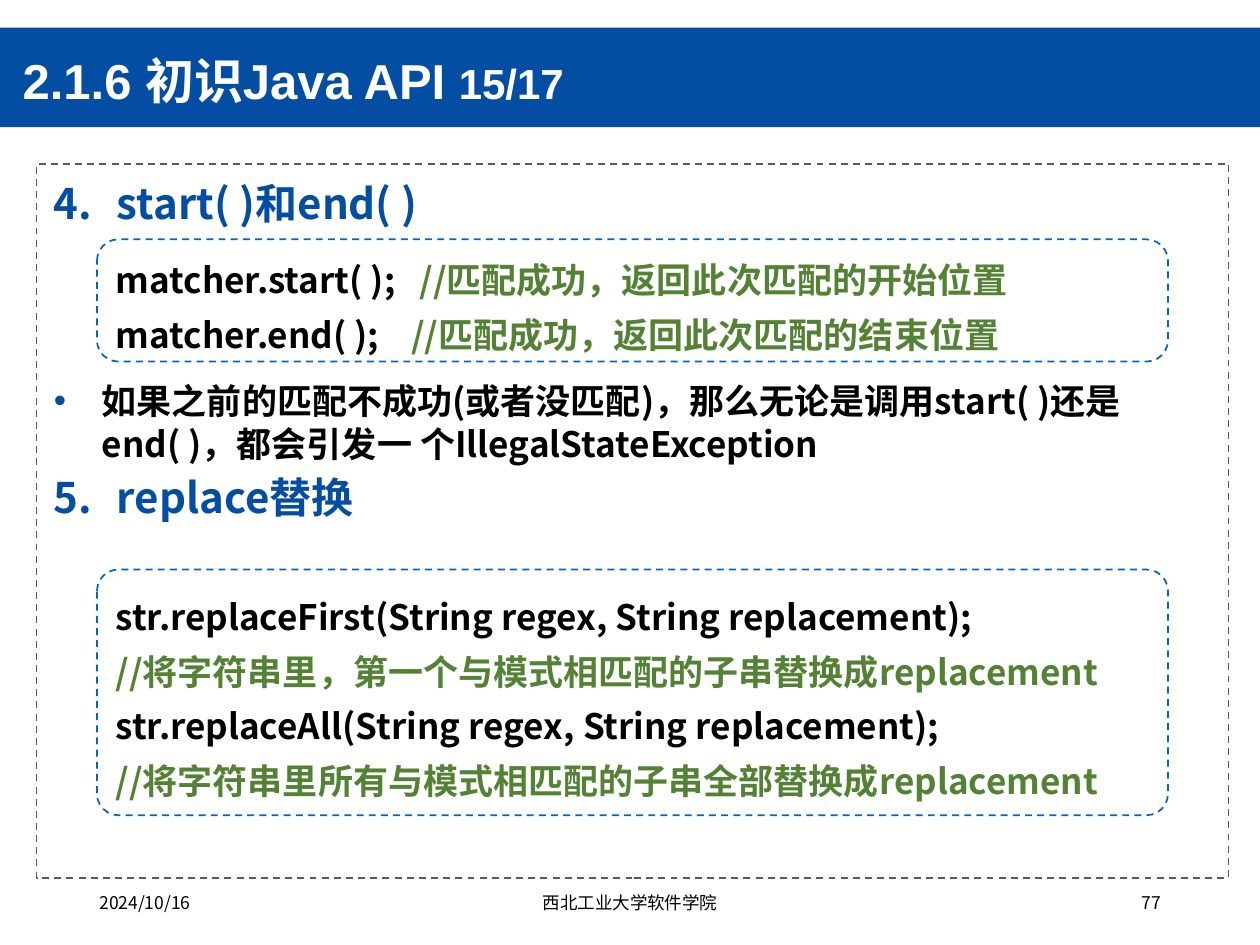
"""Builds the slide on start( ), end( ) and the replace methods of the Java API."""
from lxml import etree
from pptx import Presentation
from pptx.dml.color import RGBColor
from pptx.enum.dml import MSO_LINE
from pptx.enum.shapes import MSO_SHAPE
from pptx.enum.text import MSO_ANCHOR, PP_ALIGN
from pptx.oxml.ns import qn
from pptx.util import Inches, Pt

RECT, ROUNDED = MSO_SHAPE.RECTANGLE, MSO_SHAPE.ROUNDED_RECTANGLE
DASH = MSO_LINE.DASH
TOP, MIDDLE = MSO_ANCHOR.TOP, MSO_ANCHOR.MIDDLE
LEFT, CENTER, RIGHT = PP_ALIGN.LEFT, PP_ALIGN.CENTER, PP_ALIGN.RIGHT

COLORS = {"brand": "034EA2", "frame": "595959", "box": "0563C1",
          "code": "000000", "comment": "548235", "white": "FFFFFF"}
TITLE_FONT, BODY_FONT = "Arial", "Noto Sans CJK SC"
WIDTH, HEIGHT = 10, 7.5

TITLE = [("2.1.6 初识Java API ", 28), ("15/17", 24)]
BODY = [
    {"text": "start( )和end( )", "size": 24, "color": "brand", "number": 4,
     "indent": 0.5, "before": 0, "spacing": 1.05},
    {"text": "如果之前的匹配不成功(或者没匹配)，那么无论是调用start( )还是end( )，"
             "都会引发一 个IllegalStateException",
     "size": 20, "color": "code", "number": None,
     "indent": 0.38, "before": 86, "spacing": 1.03},
    {"text": "replace替换", "size": 24, "color": "brand", "number": 5,
     "indent": 0.5, "before": 4, "spacing": 1},
]
CODE_LEFT, CODE_WIDTH, CODE_RADIUS = 0.77, 8.5, 0.17
CODE_BOXES = [
    (1.9, 0.97, [
        [("matcher.start( );   ", "code"),
         ("//匹配成功，返回此次匹配的开始位置", "comment")],
        [("matcher.end( );    ", "code"),
         ("//匹配成功，返回此次匹配的结束位置", "comment")],
    ]),
    (4.52, 1.95, [
        [("str.replaceFirst(String regex, String replacement);", "code")],
        [("//将字符串里，第一个与模式相匹配的子串替换成replacement", "comment")],
        [("str.replaceAll(String regex, String replacement);", "code")],
        [("//将字符串里所有与模式相匹配的子串全部替换成replacement", "comment")],
    ]),
]
FOOTER_TOP, FOOTER_HEIGHT = 7.03, 0.4
FOOTER = [("2024/10/16", 0.69, 2.25, LEFT),
          ("西北工业大学软件学院", 3.31, 3.38, CENTER),
          ("77", 7.06, 2.25, RIGHT)]


def rgb(name):
    return RGBColor.from_string(COLORS[name])


def style(font, size, color, name=BODY_FONT, bold=True):
    font.size, font.bold, font.name = Pt(size), bold, name
    font.color.rgb = rgb(color)


def add_panel(slide, shape_type, box, fill=None, line=None):
    panel = slide.shapes.add_shape(shape_type, *map(Inches, box))
    panel.shadow.inherit = False
    if fill:
        panel.fill.solid()
        panel.fill.fore_color.rgb = rgb(fill)
    else:
        panel.fill.background()
    if line:
        panel.line.color.rgb = rgb(line)
        panel.line.width, panel.line.dash_style = Pt(1), DASH
    else:
        panel.line.fill.background()
    return panel


def add_text_frame(slide, box):
    frame = slide.shapes.add_textbox(*map(Inches, box)).text_frame
    frame.word_wrap, frame.vertical_anchor = True, TOP
    return frame


def paragraphs(frame, items):
    for index, item in enumerate(items):
        yield frame.add_paragraph() if index else frame.paragraphs[0], item


def add_marker(paragraph, indent, number):
    props = paragraph._p.get_or_add_pPr()
    props.set("marL", str(Inches(indent)))
    props.set("indent", str(-Inches(indent)))
    color = etree.SubElement(props, qn("a:buClr"))
    etree.SubElement(color, qn("a:srgbClr"), val=COLORS["brand"])
    etree.SubElement(props, qn("a:buFont"), typeface=BODY_FONT if number else TITLE_FONT)
    if number:
        etree.SubElement(props, qn("a:buAutoNum"), type="arabicPeriod", startAt=str(number))
    else:
        etree.SubElement(props, qn("a:buChar"), char="•")


def add_title(slide):
    title = slide.shapes.title
    title.left, title.top, title.width, title.height = map(Inches, (0.08, 0.33, 7.35, 0.66))
    slide.shapes._spTree.append(title._element)
    title.text_frame.vertical_anchor = MIDDLE
    heading = title.text_frame.paragraphs[0]
    heading.alignment, heading.line_spacing = LEFT, 0.9
    for text, size in TITLE:
        run = heading.add_run()
        run.text = text
        style(run.font, size, "white", TITLE_FONT)


def add_body(slide):
    frame = add_text_frame(slide, (0.33, 1.34, 9.38, 5.56))
    for paragraph, item in paragraphs(frame, BODY):
        paragraph.text = item["text"]
        paragraph.line_spacing = item["spacing"]
        paragraph.space_before = Pt(item["before"])
        add_marker(paragraph, item["indent"], item["number"])
        style(paragraph.font, item["size"], item["color"])


def add_code_box(slide, top, height, lines):
    box = add_panel(slide, ROUNDED, (CODE_LEFT, top, CODE_WIDTH, height), line="box")
    box.adjustments[0] = CODE_RADIUS / height
    frame = box.text_frame
    frame.word_wrap, frame.vertical_anchor = True, MIDDLE
    for paragraph, line in paragraphs(frame, lines):
        paragraph.alignment, paragraph.line_spacing = LEFT, 1.3
        for text, color in line:
            run = paragraph.add_run()
            run.text = text
            style(run.font, 20, color)


def add_footer(slide):
    for text, left, width, alignment in FOOTER:
        frame = add_text_frame(slide, (left, FOOTER_TOP, width, FOOTER_HEIGHT))
        entry = frame.paragraphs[0]
        entry.text, entry.alignment = text, alignment
        style(entry.font, 10, "code", bold=False)


def main():
    deck = Presentation()
    deck.slide_width, deck.slide_height = Inches(WIDTH), Inches(HEIGHT)
    slide = deck.slides.add_slide(deck.slide_layouts[5])
    add_panel(slide, RECT, (0, 0.22, WIDTH, 0.79), fill="brand")
    add_panel(slide, RECT, (0.29, 1.3, 9.46, 5.67), line="frame")
    add_body(slide)
    add_title(slide)
    add_footer(slide)
    for top, height, lines in CODE_BOXES:
        add_code_box(slide, top, height, lines)
    deck.save("out.pptx")


if __name__ == "__main__":
    main()
